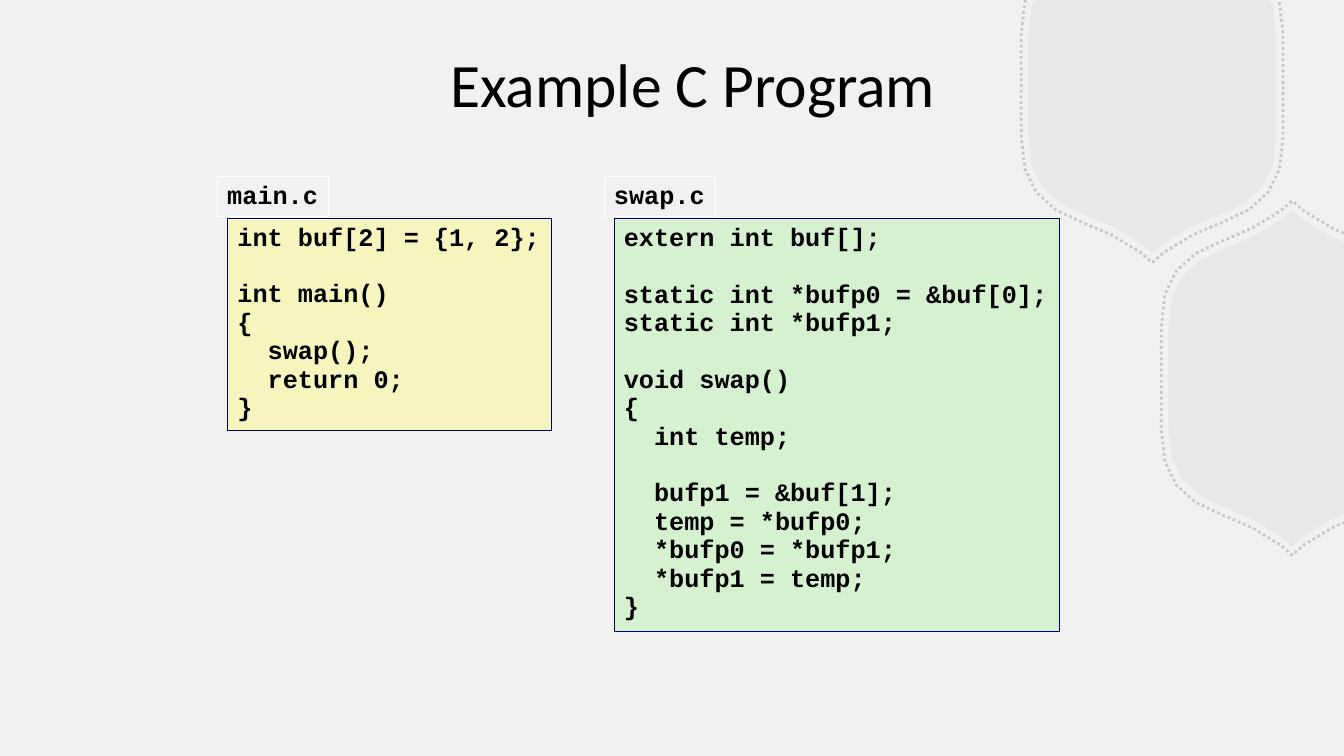
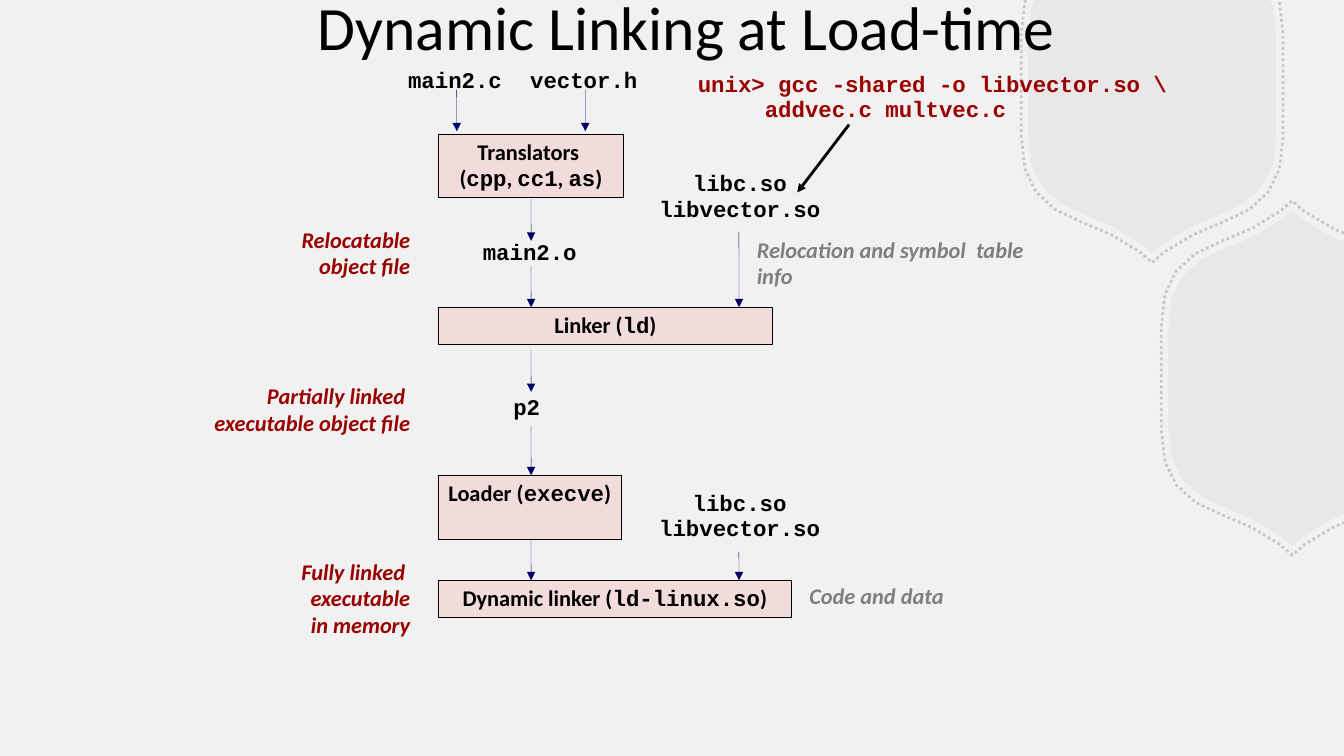
from dataclasses import dataclass

from lxml.etree import SubElement
from pptx import Presentation
from pptx.dml.color import RGBColor
from pptx.enum.dml import MSO_LINE
from pptx.enum.shapes import MSO_CONNECTOR as Connector, MSO_SHAPE as Preset
from pptx.enum.text import MSO_ANCHOR as Anchor, MSO_AUTO_SIZE as AutoSize, PP_ALIGN as Align
from pptx.oxml.ns import qn
from pptx.util import Pt

# Shared look
WIDTH, HEIGHT = 960, 540
BACKGROUND = RGBColor(0xF2, 0xF1, 0xF1)
HEXAGON_GRAY = RGBColor(0xB8, 0xB2, 0xB2)
BLACK = RGBColor(0, 0, 0)
WHITE = RGBColor(0xFF, 0xFF, 0xFF)
NAVY = RGBColor(0, 0, 0x66)
RED = RGBColor(0x99, 0, 0)
GRAY = RGBColor(0x7F, 0x7F, 0x7F)
YELLOW = RGBColor(0xF6, 0xF5, 0xBD)
GREEN = RGBColor(0xD5, 0xF1, 0xCF)
PINK = RGBColor(0xF2, 0xDC, 0xDB)
SANS, MONO = "Calibri", "Courier New"
THIN = 0.25
TITLE_ONLY = 5

# Lower right quarter of the rounded hexagon, relative to its centre
HEXAGON_TIP = (0, 120)
HEXAGON_CURVES = (
    ((8, 113), (27.4, 98), (49, 94), (65.5, 84.2)),
    ((65.5, 84.2), (81.4, 73.4), (88.6, 60.5), (88.6, 35)),
)
HEXAGON_CENTRES = ((823, 61), (923, 270))
OUTLINE_SCALE = 1.055
CURVE_STEPS = 3


@dataclass(frozen=True)
class Box:
    left: float
    top: float
    width: float
    height: float

    def lengths(self) -> tuple:
        return Pt(self.left), Pt(self.top), Pt(self.width), Pt(self.height)


@dataclass(frozen=True)
class Label:
    text: str
    box: Box


@dataclass(frozen=True)
class Listing:
    name: Label
    code: Label
    fill: RGBColor


@dataclass(frozen=True)
class Arrow:
    start: tuple
    end: tuple
    color: RGBColor = NAVY
    weight: float = THIN


def write_text(shape, text: str, *, font=SANS, size=16, color=BLACK, bold=True, italic=False,
               align=Align.LEFT, spacing=0.98, anchor=Anchor.TOP, wrap=True) -> None:
    """Write one paragraph a line; parts between backticks are monospaced."""
    frame = shape.text_frame
    frame.auto_size = AutoSize.NONE
    frame.word_wrap = wrap
    frame.vertical_anchor = anchor
    for index, line in enumerate(text.split("\n")):
        paragraph = frame.add_paragraph() if index else frame.paragraphs[0]
        paragraph.alignment = align
        paragraph.line_spacing = spacing
        for part_index, part in enumerate((line or " ").split("`")):
            if not part:
                continue
            run = paragraph.add_run()
            run.text = part
            run.font.name = MONO if part_index % 2 else font
            run.font.size = Pt(size)
            run.font.bold = bold
            run.font.italic = italic
            run.font.color.rgb = color


def add_title_slide(presentation, title: str, box: Box):
    slide = presentation.slides.add_slide(presentation.slide_layouts[TITLE_ONLY])
    shape = slide.shapes.title
    shape.left, shape.top, shape.width, shape.height = box.lengths()
    write_text(shape, title, size=44, bold=False, align=Align.CENTER, spacing=1.0,
               anchor=Anchor.MIDDLE)
    return slide


def add_rectangle(slide, label: Label, fill, line: RGBColor, **text_format) -> None:
    shape = slide.shapes.add_shape(Preset.RECTANGLE, *label.box.lengths())
    shape.shadow.inherit = False
    if fill is None:
        shape.fill.background()
    else:
        shape.fill.solid()
        shape.fill.fore_color.rgb = fill
    shape.line.color.rgb = line
    shape.line.width = Pt(THIN)
    write_text(shape, label.text, **text_format)


def add_label(slide, label: Label, **text_format) -> None:
    write_text(slide.shapes.add_textbox(*label.box.lengths()), label.text, **text_format)


def add_arrow(slide, arrow: Arrow) -> None:
    points = [Pt(value) for value in (*arrow.start, *arrow.end)]
    connector = slide.shapes.add_connector(Connector.STRAIGHT, *points)
    connector.line.color.rgb = arrow.color
    connector.line.width = Pt(arrow.weight)
    properties = connector.element.spPr
    SubElement(properties.find(qn("a:ln")), qn("a:tailEnd"), type="triangle")
    SubElement(properties, qn("a:effectLst"))


# Background hexagons
def bezier(curve: tuple) -> list:
    def value(axis: int, t: float) -> float:
        a, b, c, d = (point[axis] for point in curve)
        s = 1 - t
        return a * s**3 + 3 * b * s * s * t + 3 * c * s * t * t + d * t**3

    shares = [step / CURVE_STEPS for step in range(CURVE_STEPS + 1)]
    return [(value(0, share), value(1, share)) for share in shares]


def edge_point(inside: tuple, outside: tuple) -> tuple:
    """Find where the way from inside to outside meets the slide's edge."""
    share = min((min(max(b, 0), limit) - a) / (b - a)
                for a, b, limit in zip(inside, outside, (WIDTH, HEIGHT)) if a != b)
    return tuple(a + (b - a) * share for a, b in zip(inside, outside))


def visible_hexagon(centre: tuple, scale: float) -> list:
    """Mirror the quarter into a ring and keep the stretch inside the slide."""
    first_curve, second_curve = map(bezier, HEXAGON_CURVES)
    quarter = [HEXAGON_TIP] + first_curve + second_curve[1:]
    right = quarter + [(x, -y) for x, y in reversed(quarter)]
    ring = right + [(-x, y) for x, y in reversed(right[1:-1])]
    ring = [(centre[0] + x * scale, centre[1] + y * scale) for x, y in ring]
    shown = [0 <= x <= WIDTH and 0 <= y <= HEIGHT for x, y in ring]
    first = next(i for i in range(len(ring)) if shown[i] and not shown[i - 1])
    ring = ring[first:] + ring[:first]
    count = sum(shown)
    return [edge_point(ring[0], ring[-1]), *ring[:count],
            edge_point(ring[count - 1], ring[count])]


def add_hexagon(slide, centre: tuple, filled: bool):
    points = visible_hexagon(centre, 1 if filled else OUTLINE_SCALE)
    points = [(Pt(x), Pt(y)) for x, y in points]
    builder = slide.shapes.build_freeform(*points[0])
    builder.add_line_segments(points[1:], close=filled)
    shape = builder.convert_to_shape()
    shape.shadow.inherit = False
    if filled:
        shape.fill.solid()
        shape.fill.fore_color.rgb = HEXAGON_GRAY
        shape.line.fill.background()
    else:
        shape.fill.background()
        shape.line.color.rgb = HEXAGON_GRAY
        shape.line.width = Pt(2)
        shape.line.dash_style = MSO_LINE.ROUND_DOT
    for color in shape.element.spPr.iter(qn("a:srgbClr")):
        SubElement(color, qn("a:alpha"), val="15000" if filled else "65000")
    return shape


def decorate_layout(slide) -> None:
    """Draw the hexagons once and hand them to the layout both slides use."""
    layout = slide.slide_layout
    layout.background.fill.solid()
    layout.background.fill.fore_color.rgb = BACKGROUND
    hexagons = [(centre, filled) for filled in (True, False) for centre in HEXAGON_CENTRES]
    for index, (centre, filled) in enumerate(hexagons):
        element = add_hexagon(slide, centre, filled).element
        element.nvSpPr.cNvPr.set("id", str(100 + index))
        layout.shapes.element.append(element)


# Slide 1
MAIN_CODE = """int buf[2] = {1, 2};

int main()
{
  swap();
  return 0;
}"""
SWAP_CODE = """extern int buf[];

static int *bufp0 = &buf[0];
static int *bufp1;

void swap()
{
  int temp;

  bufp1 = &buf[1];
  temp = *bufp0;
  *bufp0 = *bufp1;
  *bufp1 = temp;
}"""
LISTINGS = (
    Listing(Label("main.c", Box(155.2, 126, 79.2, 28.2)),
            Label(MAIN_CODE, Box(162.5, 156, 231.5, 151.5)), YELLOW),
    Listing(Label("swap.c", Box(431.5, 126, 79.2, 28.2)),
            Label(SWAP_CODE, Box(438.5, 156.1, 318.2, 294.7)), GREEN),
)


def build_program_slide(presentation):
    slide = add_title_slide(presentation, "Example C Program", Box(152, 28, 686, 62))
    code_format = dict(font=MONO, size=18, spacing=0.94, wrap=False)
    for listing in LISTINGS:
        add_rectangle(slide, listing.code, listing.fill, NAVY, **code_format)
        add_rectangle(slide, listing.name, None, WHITE, **code_format)
    return slide


# Slide 2
FLOW_X, LIBRARY_X = 379.3, 527.8
ARROW_LEAN = 0.1
STEPS = (
    Label("Translators \n(`cpp`, `cc1`, `as`)", Box(313.2, 96, 132, 45.2)),
    Label("Linker (`ld`)", Box(313.2, 219.5, 238.5, 26.5)),
    Label("Loader (`execve`)", Box(313.2, 339.6, 130.5, 45.2)),
    Label("Dynamic linker (`ld-linux.so`)", Box(313.2, 414.5, 252, 26.5)),
)
LIBRARIES = "libc.so\nlibvector.so"
FILES = (
    Label("main2.c", Box(284, 45.5, 82, 26)),
    Label("vector.h", Box(371, 45.5, 92, 26)),
    Label("main2.o", Box(337.4, 168, 82, 26)),
    Label("p2", Box(359.2, 278.6, 34, 26)),
    Label(LIBRARIES, Box(463, 119.1, 131, 44)),
    Label(LIBRARIES, Box(462.8, 347.2, 131, 44)),
)
STAGE_NOTES = (
    Label("Relocatable\nobject file", Box(102.2, 158.8, 198, 45.5)),
    Label("Partially linked \nexecutable object file", Box(102.2, 270.5, 198, 45.5)),
    Label("Fully linked \nexecutable\nin memory", Box(102.2, 396, 198, 64)),
)
DATA_NOTES = (
    Label("Relocation and symbol  table info", Box(533.5, 165.8, 205, 45.5)),
    Label("Code and data", Box(571, 413, 140, 26.5)),
)
COMMAND = Label("unix> gcc -shared -o libvector.so \\\n     addvec.c multvec.c",
                Box(491.4, 48.2, 354, 44))
VERTICAL_ARROWS = (
    (326.2, 64, 93.8), (418, 64, 93.8),
    (FLOW_X, 142, 172), (FLOW_X, 190, 219.5), (FLOW_X, 250, 280),
    (FLOW_X, 304, 339.5), (FLOW_X, 385, 414.5),
    (LIBRARY_X, 165.5, 219.5), (LIBRARY_X, 394, 414.5),
)


def build_linking_slide(presentation) -> None:
    slide = add_title_slide(presentation, "Dynamic Linking at Load-time",
                            Box(147.5, -12, 686, 61))
    for x, top, bottom in VERTICAL_ARROWS:
        add_arrow(slide, Arrow((x, top), (x + ARROW_LEAN, bottom)))
    for step in STEPS:
        add_rectangle(slide, step, PINK, BLACK, align=Align.CENTER)
    for file in FILES:
        add_label(slide, file, font=MONO, align=Align.CENTER, spacing=0.94, wrap=False)
    for note in STAGE_NOTES:
        add_label(slide, note, color=RED, italic=True, align=Align.RIGHT)
    for note in DATA_NOTES:
        add_label(slide, note, color=GRAY, italic=True)
    add_label(slide, COMMAND, font=MONO, color=RED, spacing=0.94, wrap=False)
    add_arrow(slide, Arrow((606.5, 89), (569.5, 137.5), BLACK, 2))


def main() -> None:
    presentation = Presentation()
    presentation.slide_width, presentation.slide_height = Pt(WIDTH), Pt(HEIGHT)
    decorate_layout(build_program_slide(presentation))
    build_linking_slide(presentation)
    presentation.save("out.pptx")


if __name__ == "__main__":
    main()
